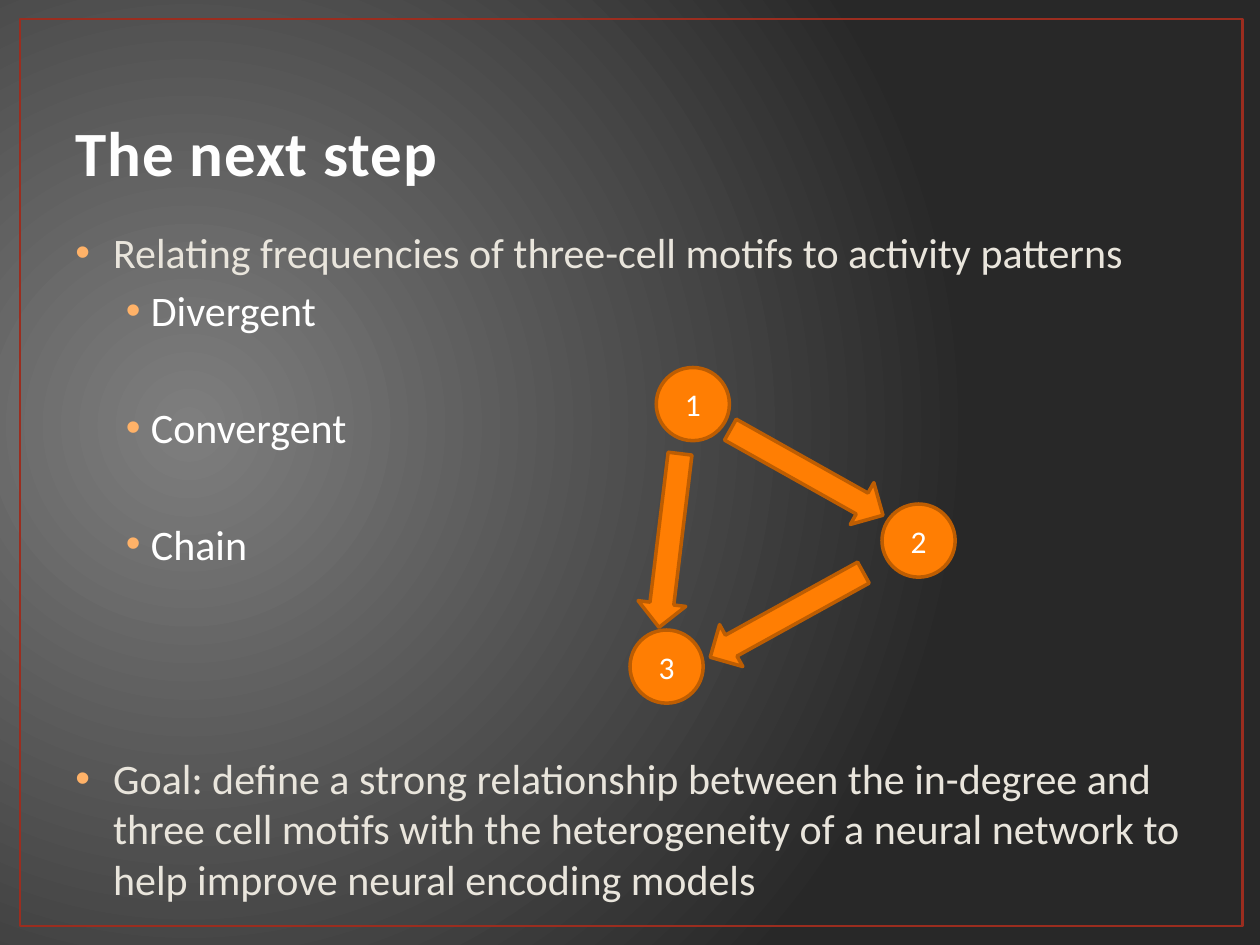
from lxml import etree
from pptx import Presentation
from pptx.dml.color import RGBColor
from pptx.enum import shapes, text
from pptx.oxml import ns
from pptx.util import Pt

FONT = "Calibri"
ORANGE, BROWN, WHITE, CREAM = "FF7E03", "BD5D02", "FFFFFF", "E9E5DC"
GAP = 4.3
BLANK_LINE = 33.6
NODE_SIZE = 41.8
ARROW_SIZE = (100, 27.4)


def colour(value):
    return RGBColor.from_string(value)


def add_child(parent, tag, **attributes):
    child = etree.SubElement(parent, ns.qn(tag))
    for name, value in attributes.items():
        child.set(name, str(value))
    return child


def paint_background(page):
    fill = page.background.fill
    fill.gradient()
    for stop, value in zip(fill.gradient_stops, ("7E7E7E", "282828")):
        stop.color.rgb = colour(value)
    gradient = page.element.find(".//" + ns.qn("a:gradFill"))
    gradient.remove(gradient.find(ns.qn("a:lin")))
    centre = add_child(gradient, "a:path", path="circle")
    add_child(centre, "a:fillToRect", l=15000, t=50000, r=85000, b=60000)


def write(para, words, size, shade, bold=False, spacing=None):
    span = para.add_run()
    span.text = words
    span.font.name = FONT
    span.font.size = Pt(size)
    span.font.bold = bold
    span.font.color.rgb = colour(shade)
    if spacing is not None:
        span.font._element.set("spc", str(spacing))


def add_bullet(para, margin, hanging):
    props = para._p.get_or_add_pPr()
    props.set("marL", str(Pt(margin)))
    props.set("indent", str(-Pt(hanging)))
    add_child(add_child(props, "a:buClr"), "a:srgbClr", val="FFB268")
    add_child(props, "a:buFont", typeface="Arial")
    add_child(props, "a:buChar", char="•")


def add_title(page, words):
    title = page.shapes.title
    title.left, title.top, title.width, title.height = Pt(36), Pt(21.6), Pt(648), Pt(90)
    title.text_frame.vertical_anchor = text.MSO_ANCHOR.BOTTOM
    para = title.text_frame.paragraphs[0]
    para.alignment = text.PP_ALIGN.LEFT
    write(para, words, 36, "FEFEFE", bold=True, spacing=50)


def add_body(page, items):
    box = page.shapes.add_textbox(Pt(36), Pt(126), Pt(648), Pt(383.8))
    frame = box.text_frame
    frame.word_wrap = True
    for index, (words, level, lines_above) in enumerate(items):
        para = frame.paragraphs[0] if index == 0 else frame.add_paragraph()
        para.level = level
        para.space_before = Pt(round(GAP + lines_above * BLANK_LINE, 2))
        margin, hanging, shade = ((21.6, 21.6, CREAM), (43.2, 14.4, WHITE))[level]
        add_bullet(para, margin, hanging)
        write(para, words, 24, shade)


def add_outlined(page, kind, left, top, width, height, line, weight, fill=None):
    shape = page.shapes.add_shape(kind, Pt(left), Pt(top), Pt(width), Pt(height))
    shape.shadow.inherit = False
    shape.line.color.rgb = colour(line)
    shape.line.width = Pt(weight)
    if fill:
        shape.fill.solid()
        shape.fill.fore_color.rgb = colour(fill)
    else:
        shape.fill.background()
    return shape


def add_node(page, label, left, top):
    node = add_outlined(page, shapes.MSO_SHAPE.OVAL, left, top, NODE_SIZE, NODE_SIZE,
                        BROWN, 2, ORANGE)
    node.text_frame.vertical_anchor = text.MSO_ANCHOR.MIDDLE
    para = node.text_frame.paragraphs[0]
    para.alignment = text.PP_ALIGN.CENTER
    write(para, label, 18, WHITE)


def add_arrow(page, left, top, angle):
    arrow = add_outlined(page, shapes.MSO_SHAPE.RIGHT_ARROW, left, top, *ARROW_SIZE,
                         BROWN, 2, ORANGE)
    arrow.rotation = angle


def main():
    deck = Presentation()
    deck.slide_width, deck.slide_height = Pt(720), Pt(540)
    page = deck.slides.add_slide(deck.slide_layouts[5])
    paint_background(page)
    add_outlined(page, shapes.MSO_SHAPE.RECTANGLE, 11.5, 10.8, 698.4, 518.4, "9B2D1F", 1.5)
    add_title(page, "The next step")
    add_body(page, [
        ("Relating frequencies of three-cell motifs to activity patterns", 0, 0),
        ("Divergent", 1, 0),
        ("Convergent", 1, 1),
        ("Chain", 1, 1),
        ("Goal: define a strong relationship between the in-degree and three cell motifs "
         "with the heterogeneity of a neural network to help improve neural encoding models",
         0, 3),
    ])
    for label, left, top in (("1", 375, 210), ("3", 360, 360), ("2", 504, 288)):
        add_node(page, label, left, top)
    for left, top, angle in ((411, 256.3, 29.3), (332.6, 295.2, 96.9), (399.6, 337.7, 151.1)):
        add_arrow(page, left, top, angle)
    deck.save("out.pptx")


if __name__ == "__main__":
    main()
